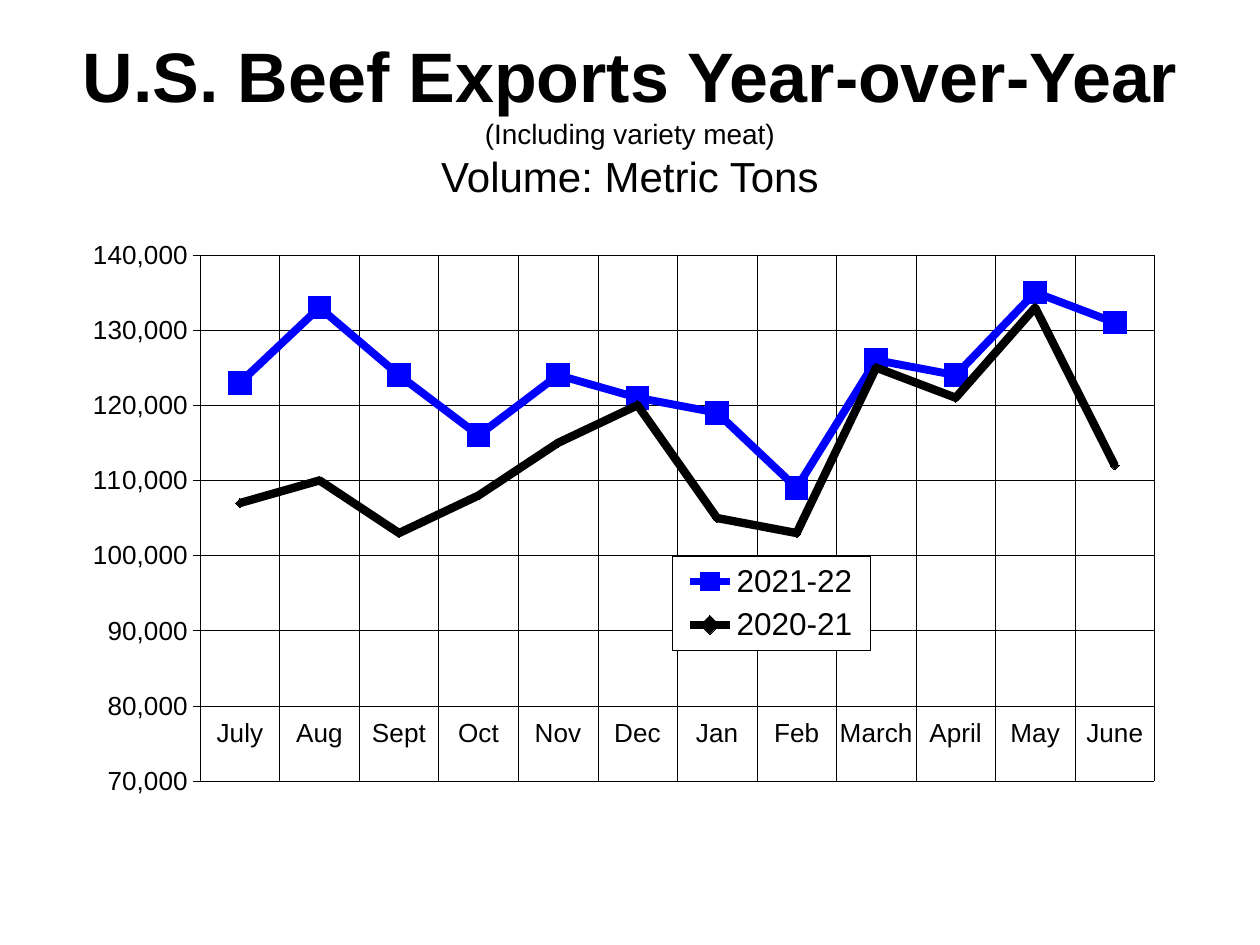
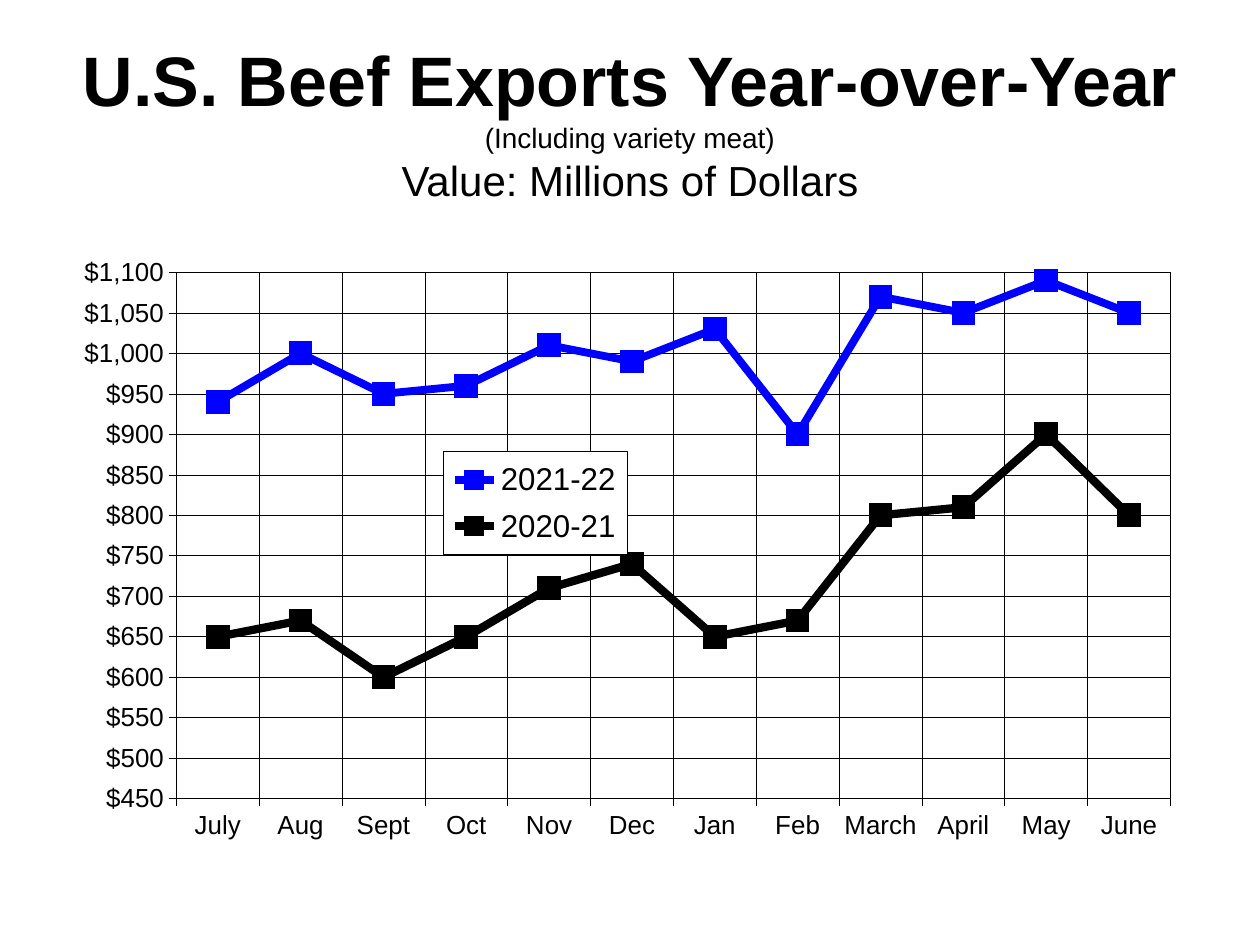
from pptx import Presentation
from pptx.chart.data import CategoryChartData
from pptx.dml.color import RGBColor
from pptx.enum.chart import XL_CHART_TYPE, XL_LEGEND_POSITION, XL_MARKER_STYLE, XL_TICK_MARK
from pptx.enum.text import MSO_ANCHOR, PP_ALIGN
from pptx.oxml import parse_xml
from pptx.oxml.ns import nsdecls, qn
from pptx.util import Cm, Pt

FONT = "Arial"
BLACK, BLUE, WHITE = "000000", "0000FF", "FFFFFF"
HAIRLINE = 0.37
HEADLINE = "U.S. Beef Exports Year-over-Year"
SCOPE = "(Including variety meat)"
MONTHS = ["July", "Aug", "Sept", "Oct", "Nov", "Dec",
          "Jan", "Feb", "March", "April", "May", "June"]
SEASONS = [("2021-22", BLUE, 4.5), ("2020-21", BLACK, 4.75)]
SQUARE = (XL_MARKER_STYLE.SQUARE, 13)
DIAMOND = (XL_MARKER_STYLE.DIAMOND, 5)

MEASURES = [
    {
        "measure": "Volume: Metric Tons",
        "title_top": 0.76, "chart_corner": (1.45, 4.65),
        "scale": (70000, 140000, 10000), "months_at": 80000, "number_format": "#,##0",
        "plot": (0.115, 0.04, 0.855, 0.867), "legend": (0.538, 0.536, 0.177, 0.155),
        "markers": [SQUARE, DIAMOND],
        "exports": [
            [123000, 133000, 124000, 116000, 124000, 121000,
             119000, 109000, 126000, 124000, 135000, 131000],
            [107000, 110000, 103000, 108000, 115000, 120000,
             105000, 103000, 125000, 121000, 133000, 112000],
        ],
    },
    {
        "measure": "Value: Millions of Dollars",
        "title_top": 0.84, "chart_corner": (1.7, 4.88),
        "scale": (450, 1100, 50), "months_at": 450, "number_format": "\\$#,##0",
        "plot": (0.075, 0.05, 0.898, 0.867), "legend": (0.316, 0.344, 0.166, 0.171),
        "markers": [SQUARE, SQUARE],
        "exports": [
            [940, 1000, 950, 960, 1010, 990, 1030, 900, 1070, 1050, 1090, 1050],
            [650, 670, 600, 650, 710, 740, 650, 670, 800, 810, 900, 800],
        ],
    },
]


def color(hex_string):
    return RGBColor.from_string(hex_string)


def style_font(font, size, bold=False):
    font.name, font.size, font.bold = FONT, Pt(size), bold
    font.color.rgb = color(BLACK)


def style_line(line, hex_string, width):
    line.color.rgb = color(hex_string)
    line.width = Pt(width)


def write_line(paragraph, text, size, bold=False):
    paragraph.alignment = PP_ALIGN.CENTER
    run = paragraph.add_run()
    run.text = text
    style_font(run.font, size, bold)


def add_title(slide, top, measure):
    frame = slide.shapes.add_textbox(Cm(1.27), Cm(top), Cm(22.86), Cm(3.18)).text_frame
    frame.word_wrap = True
    frame.vertical_anchor = MSO_ANCHOR.MIDDLE
    write_line(frame.paragraphs[0], HEADLINE, size=40, bold=True)
    write_line(frame.add_paragraph(), SCOPE, size=16)
    write_line(frame.add_paragraph(), measure, size=24)


def manual_layout(box, target=""):
    modes = "".join(f'<c:{edge}Mode val="edge"/>' for edge in "xy")
    sizes = "".join(f'<c:{side} val="{share}"/>' for side, share in zip("xywh", box))
    return parse_xml(f'<c:layout {nsdecls("c")}><c:manualLayout>{target}{modes}{sizes}'
                     "</c:manualLayout></c:layout>")


def drop_layout(element):
    for layout in element.findall(qn("c:layout")):
        element.remove(layout)


def place_plot(chart, box):
    plot_area = chart._chartSpace.chart.plotArea
    drop_layout(plot_area)
    plot_area.insert(0, manual_layout(box, '<c:layoutTarget val="inner"/>'))


def add_legend(chart, box):
    chart.has_legend = True
    legend = chart.legend
    legend.position = XL_LEGEND_POSITION.RIGHT
    legend.include_in_layout = False
    style_font(legend.font, 18)
    element = legend._element
    drop_layout(element)
    element.find(qn("c:legendPos")).addnext(manual_layout(box))
    element.find(qn("c:overlay")).addnext(parse_xml(
        f'<c:spPr {nsdecls("c", "a")}>'
        f'<a:solidFill><a:srgbClr val="{WHITE}"/></a:solidFill>'
        f'<a:ln w="{Pt(HAIRLINE)}"><a:solidFill><a:srgbClr val="{BLACK}"/></a:solidFill></a:ln>'
        "</c:spPr>"))


def style_axes(chart, scale, months_at, number_format):
    for axis in (chart.category_axis, chart.value_axis):
        axis.has_major_gridlines = True
        axis.major_tick_mark = XL_TICK_MARK.CROSS
        axis.minor_tick_mark = XL_TICK_MARK.NONE
        style_font(axis.tick_labels.font, 14.9)
        style_line(axis.format.line, BLACK, HAIRLINE)
        style_line(axis.major_gridlines.format.line, BLACK, HAIRLINE)
    values = chart.value_axis
    values.minimum_scale, values.maximum_scale, values.major_unit = scale
    values.crosses_at = months_at
    values.tick_labels.number_format = number_format
    values.tick_labels.number_format_is_linked = False


def add_exports_chart(slide, content):
    exports = CategoryChartData()
    exports.categories = MONTHS
    for (season, _, _), amounts in zip(SEASONS, content["exports"]):
        exports.add_series(season, amounts)
    left, top = content["chart_corner"]
    chart = slide.shapes.add_chart(XL_CHART_TYPE.LINE_MARKERS, Cm(left), Cm(top),
                                   Cm(22.5), Cm(12.24), exports).chart
    chart.has_title = False
    style_font(chart.font, 14.9)
    plot = chart.plots[0]
    plot.vary_by_categories = False
    for series, (_, hue, width), (symbol, size) in zip(plot.series, SEASONS, content["markers"]):
        series.smooth = False
        style_line(series.format.line, hue, width)
        series.marker.style, series.marker.size = symbol, size
        series.marker.format.fill.solid()
        series.marker.format.fill.fore_color.rgb = color(hue)
        series.marker.format.line.color.rgb = color(hue)
    style_axes(chart, content["scale"], content["months_at"], content["number_format"])
    place_plot(chart, content["plot"])
    add_legend(chart, content["legend"])


deck = Presentation()
deck.slide_width, deck.slide_height = Cm(25.4), Cm(19.05)
for content in MEASURES:
    slide = deck.slides.add_slide(deck.slide_layouts[6])
    add_title(slide, content["title_top"], content["measure"])
    add_exports_chart(slide, content)
deck.save("out.pptx")
